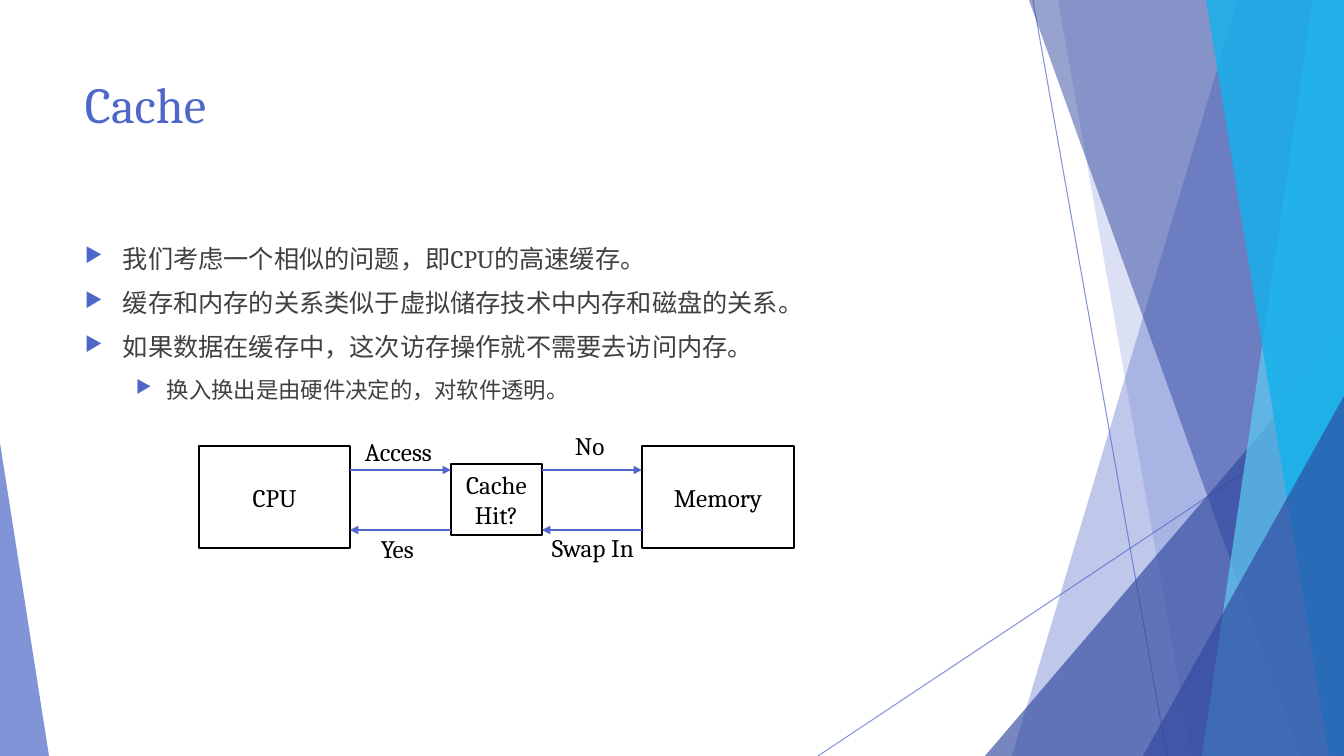
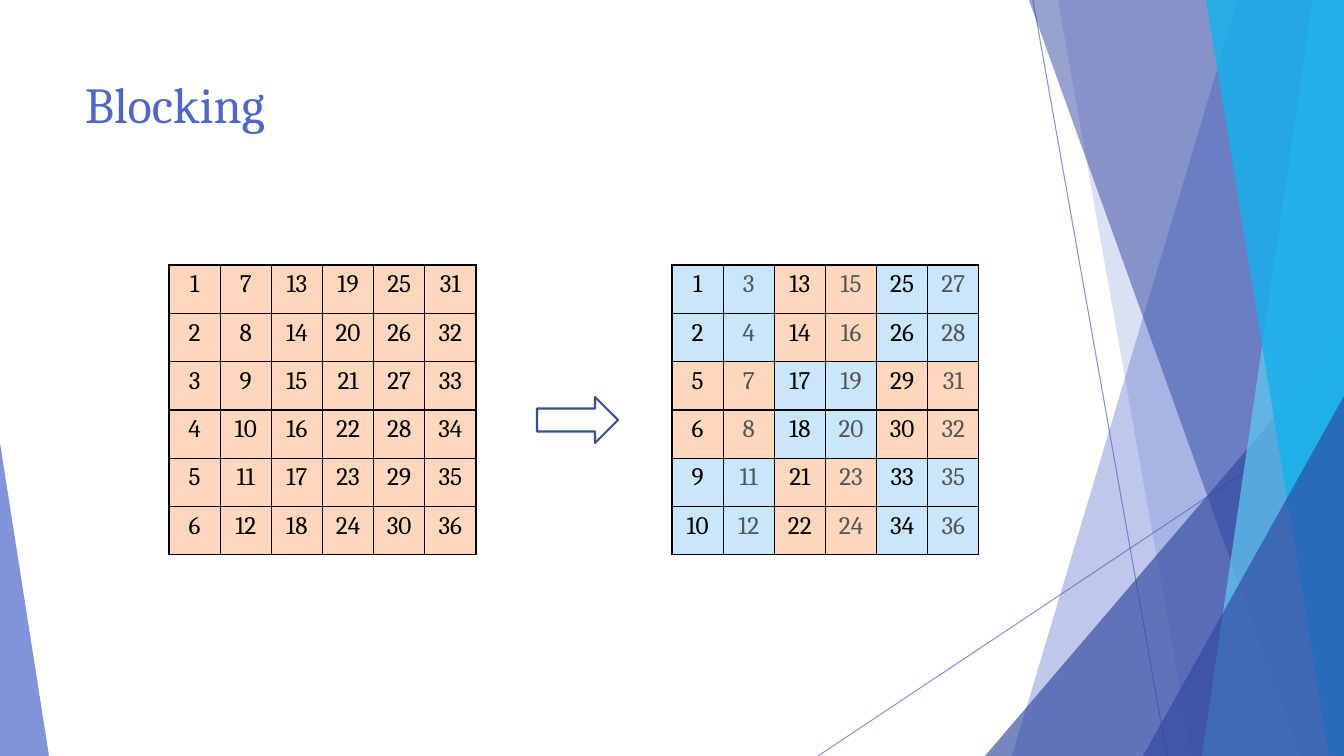
from dataclasses import dataclass

from lxml.etree import SubElement
from pptx import Presentation
from pptx.dml.color import RGBColor
from pptx.enum.lang import MSO_LANGUAGE_ID
from pptx.enum.shapes import MSO_CONNECTOR, MSO_SHAPE
from pptx.enum.text import MSO_ANCHOR, PP_ALIGN
from pptx.oxml.ns import qn
from pptx.util import Pt


@dataclass(frozen=True)
class Theme:
    font: str = "Cambria"
    accent: str = "4E67C8"
    navy: str = "31489F"
    sky: str = "5ECCF3"
    cyan: str = "12B2EB"
    body: str = "404040"
    ink: str = "000000"
    muted: str = "53575C"
    orange: str = "FF8021"
    blue: str = "4FADF3"
    outline: str = "3A4C94"
    title_size: int = 36
    text_size: int = 18
    sub_size: int = 16


@dataclass(frozen=True)
class Box:
    left: int
    top: int
    width: int
    height: int

    @property
    def right(self):
        return self.left + self.width

    @property
    def bottom(self):
        return self.top + self.height

    def inner(self, left, top, width, height):
        return Box(self.left + left, self.top + top, width, height)

    def emu(self):
        return px(self.left), px(self.top), px(self.width), px(self.height)


THEME = Theme()
PAGE = Box(0, 0, 1344, 756)
TITLE = Box(75, 68, 948, 145)
BODY = Box(75, 238, 948, 427)
DIAGRAM = Box(199, 425, 595, 143)
GRIDS = Box(169, 265, 810, 290)


def px(length):
    return round(length * 12192000 / 1344)


def rgb(color):
    return RGBColor.from_string(color)


def set_alpha(element, percent):
    color = element.find(".//" + qn("a:srgbClr"))
    SubElement(color, qn("a:alpha"), val=str(percent * 1000))


def add_span(para, text, size=THEME.text_size, color=THEME.ink):
    span = para.add_run()
    span.text = text
    span.font.name = THEME.font
    span.font.size = Pt(size)
    span.font.color.rgb = rgb(color)
    return span


def add_text(page, box):
    frame = page.shapes.add_textbox(*box.emu()).text_frame
    frame.word_wrap = True
    return frame


def style_fill(shape, color, alpha):
    shape.shadow.inherit = False
    shape.fill.solid()
    shape.fill.fore_color.rgb = rgb(color)
    set_alpha(shape.element.spPr, alpha)
    shape.line.fill.background()


def add_outline(page, kind, box, color):
    shape = page.shapes.add_shape(kind, *box.emu())
    shape.shadow.inherit = False
    shape.fill.background()
    shape.line.color.rgb = rgb(color)
    shape.line.width = Pt(1.5)
    return shape


def add_line(page, start, end, width):
    line = page.shapes.add_connector(
        MSO_CONNECTOR.STRAIGHT, *(px(value) for value in start + end)
    )
    line.line.color.rgb = rgb(THEME.accent)
    line.line.width = Pt(width)
    SubElement(line.element.spPr, qn("a:effectLst"))
    return line


def add_arrow(page, start, end):
    arrow = add_line(page, start, end, 1)
    outline = arrow.element.spPr.find(qn("a:ln"))
    SubElement(outline, qn("a:tailEnd"), type="triangle")


def add_band(page, box, top_left, bottom_left, color, alpha):
    points = [
        (box.right, box.top),
        (box.right, box.bottom),
        (bottom_left, box.bottom),
    ]
    outline = page.shapes.build_freeform(px(top_left), px(box.top))
    outline.add_line_segments([(px(x), px(y)) for x, y in points])
    style_fill(outline.convert_to_shape(), color, alpha)


def add_wedge(page, box, apex, color, alpha):
    wedge = page.shapes.add_shape(MSO_SHAPE.ISOSCELES_TRIANGLE, *box.emu())
    wedge.adjustments[0] = apex
    style_fill(wedge, color, alpha)


def add_corner(page, box, width, height, apex, color, alpha):
    left = box.right - width if apex else box.left
    corner = Box(left, box.bottom - height, width, height)
    add_wedge(page, corner, apex, color, alpha)


def add_backdrop(page, box):
    for start, end in [((1033, 0), (1167, 756)), ((1344, 406), (818, 756))]:
        set_alpha(add_line(page, start, end, 0.75).element.spPr, 70)
    add_band(page, box, 1238, 1012, THEME.accent, 36)
    add_band(page, box, 1058, 1192, THEME.accent, 20)
    add_corner(page, box, 359, 420, 1, THEME.navy, 66)
    add_band(page, box, 1029, 1301, THEME.navy, 50)
    add_band(page, box, 1313, 1202, THEME.sky, 70)
    add_band(page, box, 1206, 1329, THEME.cyan, 80)
    add_corner(page, box, 201, 360, 1, THEME.navy, 66)
    add_corner(page, box, 49, 313, 0, THEME.accent, 70)


def add_page(deck, title):
    page = deck.slides.add_slide(deck.slide_layouts[6])
    add_backdrop(page, PAGE)
    para = add_text(page, TITLE).paragraphs[0]
    add_span(para, title, THEME.title_size, THEME.accent)
    return page


def add_bullets(page, box, items):
    frame = add_text(page, box)
    styles = [(38, 38, THEME.text_size), (82, 31, THEME.sub_size)]
    for index, (level, text) in enumerate(items):
        para = frame.add_paragraph() if index else frame.paragraphs[0]
        margin, hanging, size = styles[level]
        para.level = level
        para.space_before = Pt(10)
        span = add_span(para, text, size, THEME.body)
        span.font.language_id = MSO_LANGUAGE_ID.SIMPLIFIED_CHINESE
        settings = para._p.get_or_add_pPr()
        settings.set("marL", str(px(margin)))
        settings.set("indent", str(-px(hanging)))
        color = SubElement(settings, qn("a:buClr"))
        SubElement(color, qn("a:srgbClr"), val=THEME.accent)
        SubElement(settings, qn("a:buSzPct"), val="80000")
        SubElement(settings, qn("a:buChar"), char="▶")


def add_node(page, box, lines):
    frame = add_outline(page, MSO_SHAPE.RECTANGLE, box, THEME.ink).text_frame
    frame.word_wrap = True
    frame.vertical_anchor = MSO_ANCHOR.MIDDLE
    for index, text in enumerate(lines):
        para = frame.add_paragraph() if index else frame.paragraphs[0]
        para.alignment = PP_ALIGN.CENTER
        add_span(para, text)


def add_cache_diagram(page, box):
    processor = box.inner(0, 21, 151, 102)
    cache = box.inner(252, 39, 91, 71)
    memory = box.inner(443, 21, 152, 102)
    add_node(page, processor, ["CPU"])
    add_node(page, cache, ["Cache", "Hit?"])
    add_node(page, memory, ["Memory"])
    request, reply = box.top + 45, box.top + 105
    for source, target in [(processor, cache), (cache, memory)]:
        add_arrow(page, (source.right, request), (target.left, request))
        add_arrow(page, (target.left, reply), (source.right, reply))
    labels = [
        ("Access", 156, 6, 110),
        ("Yes", 172, 103, 60),
        ("No", 366, 0, 60),
        ("Swap In", 343, 102, 110),
    ]
    for text, left, top, width in labels:
        frame = add_text(page, box.inner(left, top, width, 40))
        add_span(frame.paragraphs[0], text)


def style_cell(cell, fill, value, color):
    settings = cell._tc.get_or_add_tcPr()
    for side in ("lnL", "lnR", "lnT", "lnB"):
        border = SubElement(settings, qn("a:" + side), w=str(Pt(1)))
        paint = SubElement(border, qn("a:solidFill"))
        SubElement(paint, qn("a:srgbClr"), val=THEME.ink)
    cell.fill.solid()
    cell.fill.fore_color.rgb = rgb(fill)
    set_alpha(settings.find(qn("a:solidFill")), 30)
    para = cell.text_frame.paragraphs[0]
    para.alignment = PP_ALIGN.CENTER
    add_span(para, str(value), color=color)


def add_matrix(page, box, describe, count=6):
    table = page.shapes.add_table(count, count, *box.emu()).table
    table.first_row = False
    table.horz_banding = False
    for row in range(count):
        table.rows[row].height = px(box.height / count)
        table.columns[row].width = px(box.width / count)
        for column in range(count):
            style_cell(table.cell(row, column), *describe(row, column))


def column_order(row, column):
    return THEME.orange, 6 * column + row + 1, THEME.ink


def block_order(row, column):
    block_row, inner_row = divmod(row, 2)
    block_column, inner_column = divmod(column, 2)
    fill = THEME.orange if (block_row + block_column) % 2 else THEME.blue
    value = 12 * block_column + 4 * block_row + 2 * inner_column + inner_row + 1
    return fill, value, THEME.muted if inner_column else THEME.ink


def add_blocking_grids(page, box):
    side = 307
    add_matrix(page, box.inner(0, 0, side, box.height), column_order)
    add_matrix(
        page, box.inner(box.width - side, 0, side, box.height), block_order
    )
    arrow = box.inner(368, 132, 81, 46)
    add_outline(page, MSO_SHAPE.RIGHT_ARROW, arrow, THEME.outline)


def main():
    deck = Presentation()
    deck.slide_width = px(PAGE.width)
    deck.slide_height = px(PAGE.height)

    cache_page = add_page(deck, "Cache")
    add_bullets(cache_page, BODY, [
        (0, "我们考虑一个相似的问题，即CPU的高速缓存。"),
        (0, "缓存和内存的关系类似于虚拟储存技术中内存和磁盘的关系。"),
        (0, "如果数据在缓存中，这次访存操作就不需要去访问内存。"),
        (1, "换入换出是由硬件决定的，对软件透明。"),
    ])
    add_cache_diagram(cache_page, DIAGRAM)

    blocking_page = add_page(deck, "Blocking")
    add_blocking_grids(blocking_page, GRIDS)
    deck.save("out.pptx")


if __name__ == "__main__":
    main()
